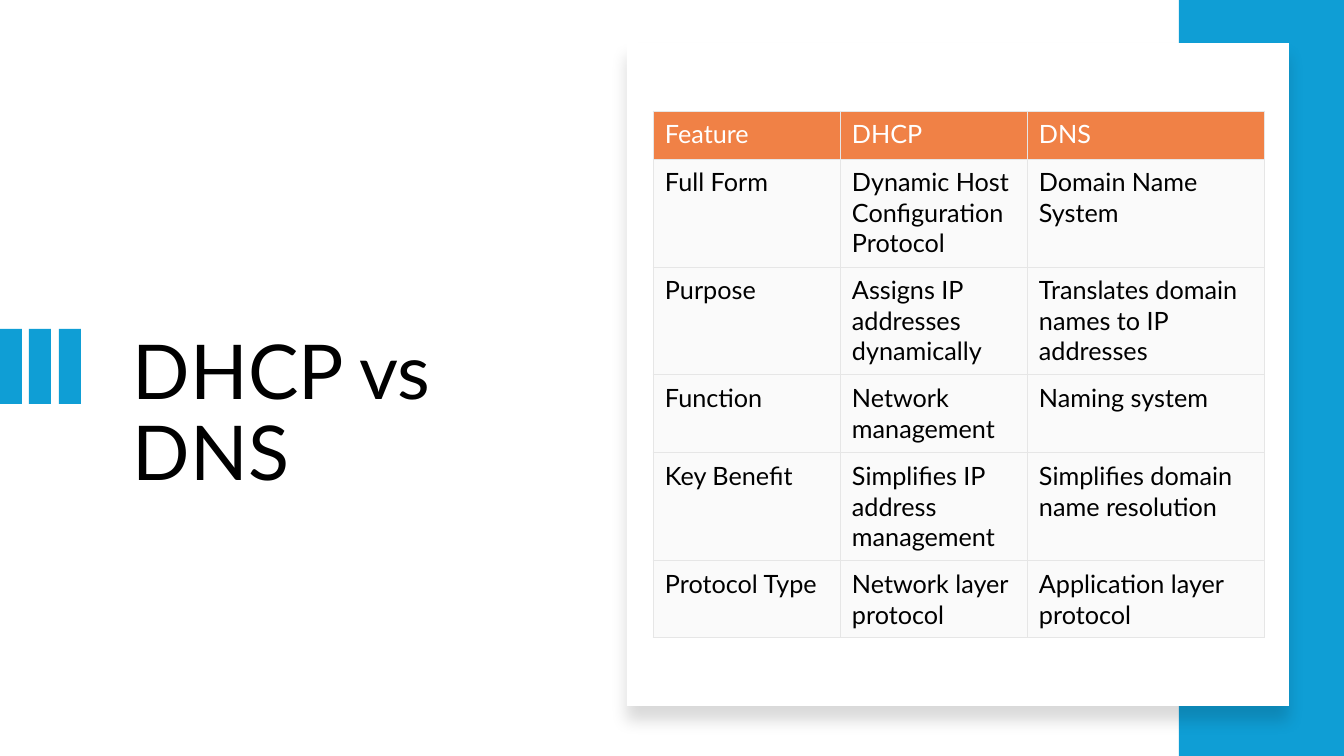
from lxml import etree
from pptx import Presentation
from pptx.dml.color import RGBColor
from pptx.enum.shapes import MSO_SHAPE
from pptx.enum.text import MSO_ANCHOR
from pptx.oxml import parse_xml
from pptx.oxml.ns import nsdecls, qn
from pptx.util import Pt

SCALE = 914400 / 100.8
FONT = "Lato"
COLORS = {"blue": "0F9ED5", "white": "FFFFFF", "black": "000000",
          "orange": "F08146", "pale": "FAFAFA", "rule": "E6E6E6"}


def px(n):
    return round(n * SCALE)


def block(x, y, w, h, color):
    shape = slide.shapes.add_shape(MSO_SHAPE.RECTANGLE, px(x), px(y), px(w), px(h))
    shape.shadow.inherit = False
    shape.fill.solid()
    shape.fill.fore_color.rgb = RGBColor.from_string(COLORS[color])
    shape.line.fill.background()
    return shape


deck = Presentation()
deck.slide_width, deck.slide_height = px(1344), px(756)
slide = deck.slides.add_slide(deck.slide_layouts[6])

# Title
title = slide.shapes.add_textbox(px(123), px(329), px(491), px(261))
frame = title.text_frame
frame.word_wrap = True
frame.vertical_anchor = MSO_ANCHOR.TOP
frame.margin_right = px(40)
frame.text = "DHCP vs DNS"
para = frame.paragraphs[0]
para.line_spacing = 0.9
para.space_after = Pt(6)
para.font.name = FONT
para.font.size = Pt(54)
para.font.color.rgb = RGBColor.from_string(COLORS["black"])

# Accent bars and right band
for i in range(3):
    block(i * 59 // 2, 329, 22, 75, "blue")
block(1179, 0, 165, 756, "blue")

# Card with soft shadow
card = block(627, 43, 662, 663, "white")
effects = card._element.spPr.find(qn("a:effectLst"))
effects.append(parse_xml(
    f'<a:outerShdw {nsdecls("a")} blurRad="{Pt(11)}" dist="{Pt(10)}" dir="5400000" '
    f'algn="t" rotWithShape="0"><a:srgbClr val="{COLORS["black"]}">'
    '<a:alpha val="15000"/></a:srgbClr></a:outerShdw>'))

# Comparison table
rows = [
    ("Feature", "DHCP", "DNS"),
    ("Full Form", "Dynamic Host Configuration Protocol", "Domain Name System"),
    ("Purpose", "Assigns IP addresses dynamically", "Translates domain names to IP addresses"),
    ("Function", "Network management", "Naming system"),
    ("Key Benefit", "Simplifies IP address management", "Simplifies domain name resolution"),
    ("Protocol Type", "Network layer protocol", "Application layer protocol"),
]
widths = [187, 187, 237]
heights = [48, 108, 108, 78, 108, 77]
table = slide.shapes.add_table(len(rows), len(widths), px(653), px(111),
                               px(sum(widths)), px(sum(heights))).table
for col, width in zip(table.columns, widths):
    col.width = px(width)
for r, (row, height) in enumerate(zip(rows, heights)):
    table.rows[r].height = px(height)
    fill, ink = ("pale", "black") if r else ("orange", "white")
    for c, text in enumerate(row):
        cell = table.cell(r, c)
        cell.text = text
        cell.margin_left, cell.margin_top = px(12), px(8)
        cell.margin_right, cell.margin_bottom = px(8), px(7)
        font = cell.text_frame.paragraphs[0].font
        font.name = FONT
        font.size = Pt(18)
        font.bold = False
        font.color.rgb = RGBColor.from_string(COLORS[ink])
        # Borders precede the fill in the cell properties
        props = cell._tc.get_or_add_tcPr()
        for side in ("lnL", "lnR", "lnT", "lnB"):
            line = etree.SubElement(props, qn(f"a:{side}"), w=str(Pt(0.75)))
            solid = etree.SubElement(line, qn("a:solidFill"))
            etree.SubElement(solid, qn("a:srgbClr"), val=COLORS["rule"])
        cell.fill.solid()
        cell.fill.fore_color.rgb = RGBColor.from_string(COLORS[fill])

deck.save("out.pptx")
